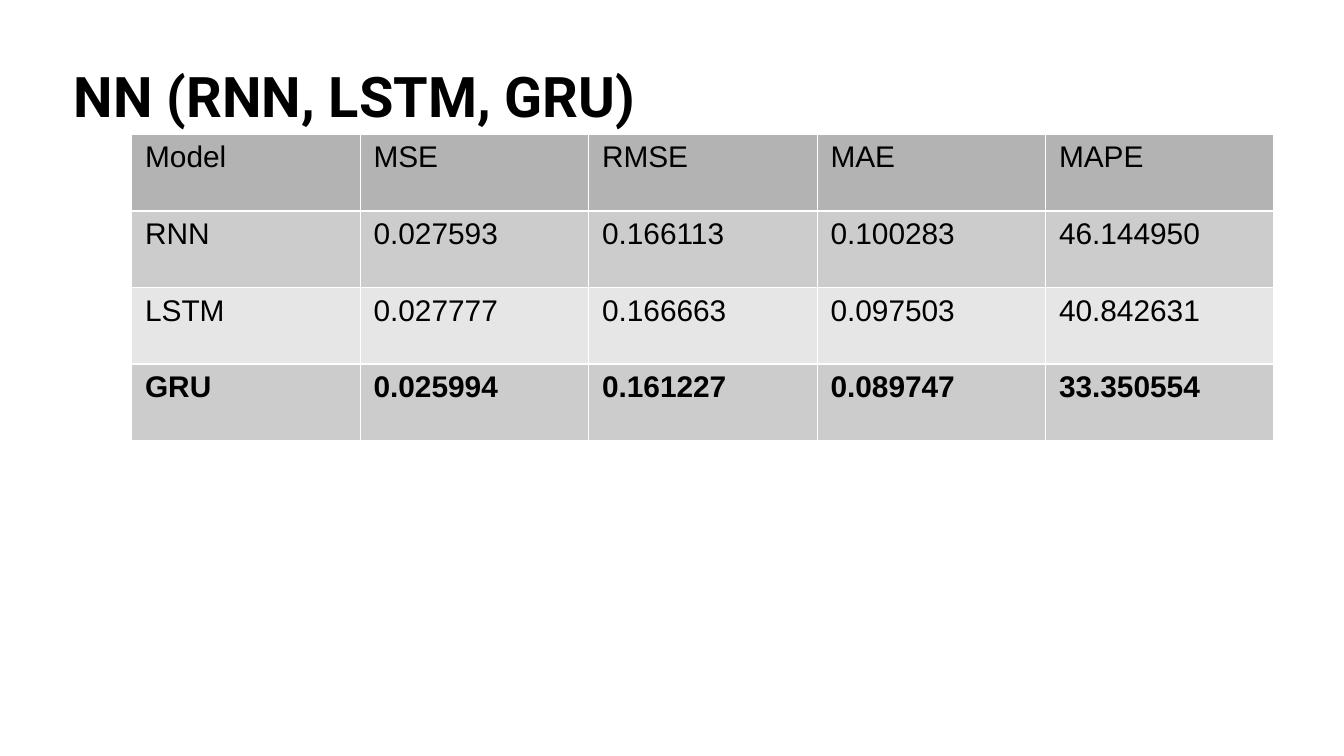
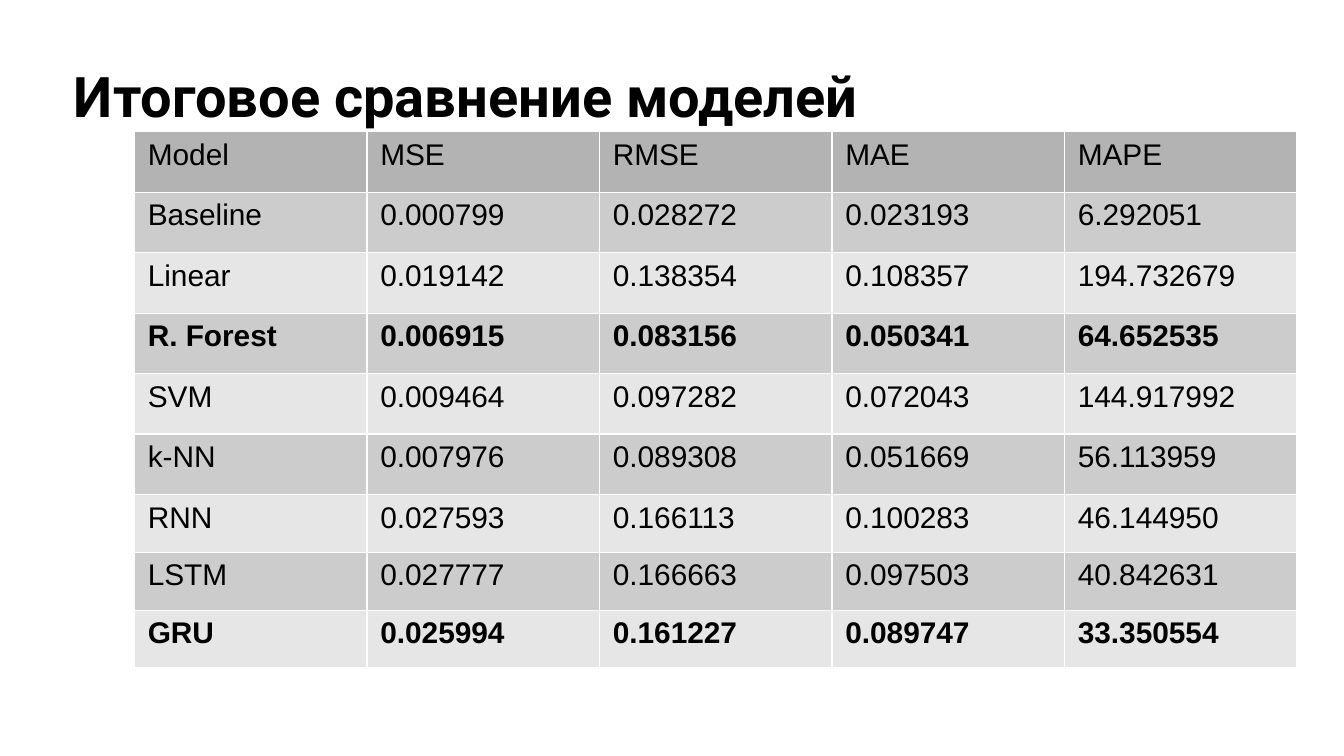
"""Builds two slides that compare model errors in tables."""
from lxml import etree
from pptx import Presentation
from pptx.dml.color import RGBColor
from pptx.enum.text import MSO_ANCHOR, MSO_AUTO_SIZE, PP_ALIGN
from pptx.oxml.ns import qn
from pptx.util import Inches, Pt

TOP = MSO_ANCHOR.TOP
FIXED = MSO_AUTO_SIZE.NONE
LEFT = PP_ALIGN.LEFT
TITLE_ONLY = 5

COLORS = {
    "text": "000000",
    "line": "FFFFFF",
    "head": "B3B3B3",
    "odd": "CCCCCC",
    "even": "E6E6E6",
}
HEAD = ["Model", "MSE", "RMSE", "MAE", "MAPE"]
BASIC = [
    ["Baseline", "0.000799", "0.028272", "0.023193", "6.292051"],
    ["Linear", "0.019142", "0.138354", "0.108357", "194.732679"],
    ["R. Forest", "0.006915", "0.083156", "0.050341", "64.652535"],
    ["SVM", "0.009464", "0.097282", "0.072043", "144.917992"],
    ["k-NN", "0.007976", "0.089308", "0.051669", "56.113959"],
]
NEURAL = [
    ["RNN", "0.027593", "0.166113", "0.100283", "46.144950"],
    ["LSTM", "0.027777", "0.166663", "0.097503", "40.842631"],
    ["GRU", "0.025994", "0.161227", "0.089747", "33.350554"],
]
BEST = {"R. Forest", "GRU"}


class Deck:
    def __init__(self):
        self.prs = Presentation()
        self.prs.slide_width = Inches(10)
        self.prs.slide_height = Inches(10 * 9 / 16)
        self.slide = None

    def add_slide(self, title):
        layout = self.prs.slide_layouts[TITLE_ONLY]
        self.slide = self.prs.slides.add_slide(layout)
        self.title(title)

    def style(self, para, name, size, bold):
        para.alignment = LEFT
        font = para.font
        font.name, font.size, font.bold = name, Pt(size), bold
        font.color.rgb = RGBColor.from_string(COLORS["text"])

    def title(self, text):
        shape = self.slide.shapes.title
        shape.left, shape.top = Inches(0.55), Inches(0.36)
        shape.width, shape.height = Inches(9.32), Inches(1.2)
        frame = shape.text_frame
        frame.text = text
        frame.word_wrap = True
        frame.auto_size = FIXED
        frame.vertical_anchor = TOP
        frame.margin_left = frame.margin_right = 0
        frame.margin_top = frame.margin_bottom = Inches(0.1)
        self.style(frame.paragraphs[0], "Roboto", 30, True)

    def border(self, cell):
        props = cell._tc.get_or_add_tcPr()
        for side in ("a:lnL", "a:lnR", "a:lnT", "a:lnB"):
            line = etree.SubElement(props, qn(side), w=str(Pt(0.75)))
            fill = etree.SubElement(line, qn("a:solidFill"))
            etree.SubElement(fill, qn("a:srgbClr"), val=COLORS["line"])

    def cell(self, cell, text, fill, bold):
        self.border(cell)
        cell.fill.solid()
        cell.fill.fore_color.rgb = RGBColor.from_string(COLORS[fill])
        cell.margin_left = cell.margin_right = Inches(0.1)
        cell.margin_top = cell.margin_bottom = Inches(0.05)
        cell.vertical_anchor = TOP
        cell.text = text
        self.style(cell.text_frame.paragraphs[0], "Arial", 16, bold)

    def table(self, left, top, width, heights, body):
        rows = [HEAD] + body
        frame = self.slide.shapes.add_table(
            len(rows), len(HEAD), Inches(left), Inches(top),
            Inches(width * len(HEAD)), Inches(sum(heights)))
        grid = frame.table
        for col in grid.columns:
            col.width = Inches(width)
        for i, (row, high) in enumerate(zip(rows, heights)):
            grid.rows[i].height = Inches(high)
            fill = "head" if i == 0 else "odd" if i % 2 else "even"
            for j, text in enumerate(row):
                self.cell(grid.cell(i, j), text, fill, row[0] in BEST)


def main():
    deck = Deck()
    deck.add_slide("NN (RNN, LSTM, GRU)")
    deck.table(0.98, 1, 1.7, [0.57] * 4, NEURAL)
    deck.add_slide("Итоговое сравнение моделей")
    deck.table(1, 0.98, 1.73, [0.45] * 6 + [0.43] * 3, BASIC + NEURAL)
    deck.prs.save("out.pptx")


if __name__ == "__main__":
    main()
